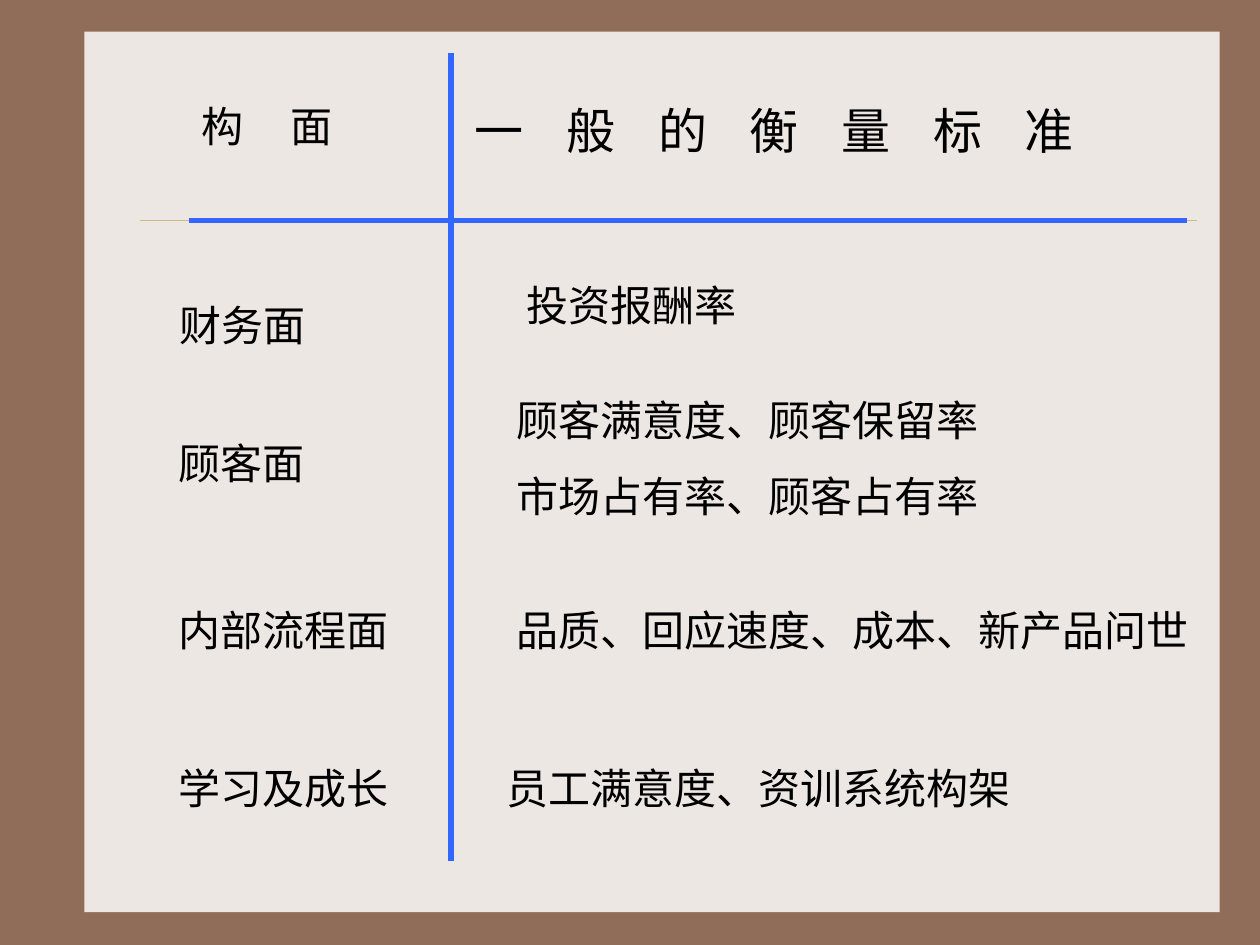
import pptx
import pptx.dml.color
import pptx.enum.shapes
import pptx.enum.text
import pptx.util
from lxml import etree

Inches = pptx.util.Inches
Pt = pptx.util.Pt

COLORS = {
    "frame": "906D58",
    "panel": "EDE7E3",
    "rule": "CBBD83",
    "axis": "3366FF",
    "text": "000000",
}
FONT = "Times New Roman"

# Paragraphs, (left, top, width, height), format
ENTRIES = [
    (["构 面"], (1.5, 0.75, 1.5, 0.5), {"tracking": 10.8}),
    (["一 般 的 衡 量 标 准"], (3.67, 0.75, 5.25, 0.57), {"size": 28, "tracking": 9.1}),
    (["财务面"], (1.33, 2.33, 1.5, 0.5), {}),
    (["投资报酬率"], (4.08, 2.17, 5.25, 0.5), {}),
    (["顾客满意度、顾客保留率", "市场占有率、顾客占有率"], (4, 3.08, 5.5, 1.11), {}),
    (["内部流程面"], (1.17, 4.75, 2.17, 0.5), {"indent": 0.15}),
    (["品质、回应速度、成本、新产品问世"], (4, 4.75, 6, 0.5), {}),
    (["学习及成长"], (1.17, 6, 2.25, 0.5), {"indent": 0.15}),
    (["员工满意度、资训系统构架"], (3.92, 6, 5.33, 0.5), {}),
]
TITLE = (["顾客面"], (1.17, 0.42, 8.33, 6.5), {"indent": 0.15})

# Start, end, colour, width in points
LINES = [
    ((1.11, 1.75), (9.5, 1.75), "rule", 0.25),
    ((1.5, 1.75), (9.42, 1.75), "axis", 3),
    ((3.58, 0.42), (3.58, 6.83), "axis", 3),
]


def rgb(name):
    return pptx.dml.color.RGBColor.from_string(COLORS[name])


def write_text(frame, paragraphs, size=24, tracking=0, indent=0):
    """Fill a text frame; tracking is in points, indent in inches."""
    frame.word_wrap = True
    for index, text in enumerate(paragraphs):
        paragraph = frame.add_paragraph() if index else frame.paragraphs[0]
        paragraph.alignment = pptx.enum.text.PP_ALIGN.LEFT
        paragraph.space_before = Pt(15 if index else 0)
        if indent:
            properties = paragraph._p.get_or_add_pPr()
            properties.set("marL", str(Inches(indent)))
            properties.set("indent", "0")
        run = paragraph.add_run()
        run.text = text
        run.font.name = FONT
        run.font.size = Pt(size)
        run.font.color.rgb = rgb("text")
        if tracking:
            run._r.get_or_add_rPr().set("spc", str(round(tracking * 100)))


def add_line(slide, start, end, color, width):
    line = slide.shapes.add_connector(
        pptx.enum.shapes.MSO_CONNECTOR.STRAIGHT, *map(Inches, start + end))
    line.line.color.rgb = rgb(color)
    line.line.width = Pt(width)
    etree.SubElement(line._element.spPr, pptx.oxml.ns.qn("a:effectLst"))


def main():
    deck = pptx.Presentation()
    deck.slide_width, deck.slide_height = Inches(10), Inches(7.5)
    slide = deck.slides.add_slide(deck.slide_layouts[5])
    slide.background.fill.solid()
    slide.background.fill.fore_color.rgb = rgb("frame")

    panel = slide.shapes.add_shape(
        pptx.enum.shapes.MSO_SHAPE.RECTANGLE, *map(Inches, (0.67, 0.25, 9.01, 6.99)))
    panel.shadow.inherit = False
    panel.fill.solid()
    panel.fill.fore_color.rgb = rgb("panel")
    panel.line.fill.background()

    for line in LINES:
        add_line(slide, *line)

    for paragraphs, place, style in ENTRIES:
        box = slide.shapes.add_textbox(*map(Inches, place))
        write_text(box.text_frame, paragraphs, **style)

    paragraphs, place, style = TITLE
    title = slide.shapes.title
    title.left, title.top, title.width, title.height = map(Inches, place)
    title.text_frame.auto_size = pptx.enum.text.MSO_AUTO_SIZE.NONE
    title.text_frame.vertical_anchor = pptx.enum.text.MSO_ANCHOR.MIDDLE
    write_text(title.text_frame, paragraphs, **style)
    slide.shapes._spTree.append(title._element)  # in front of the panel

    deck.save("out.pptx")


if __name__ == "__main__":
    main()
